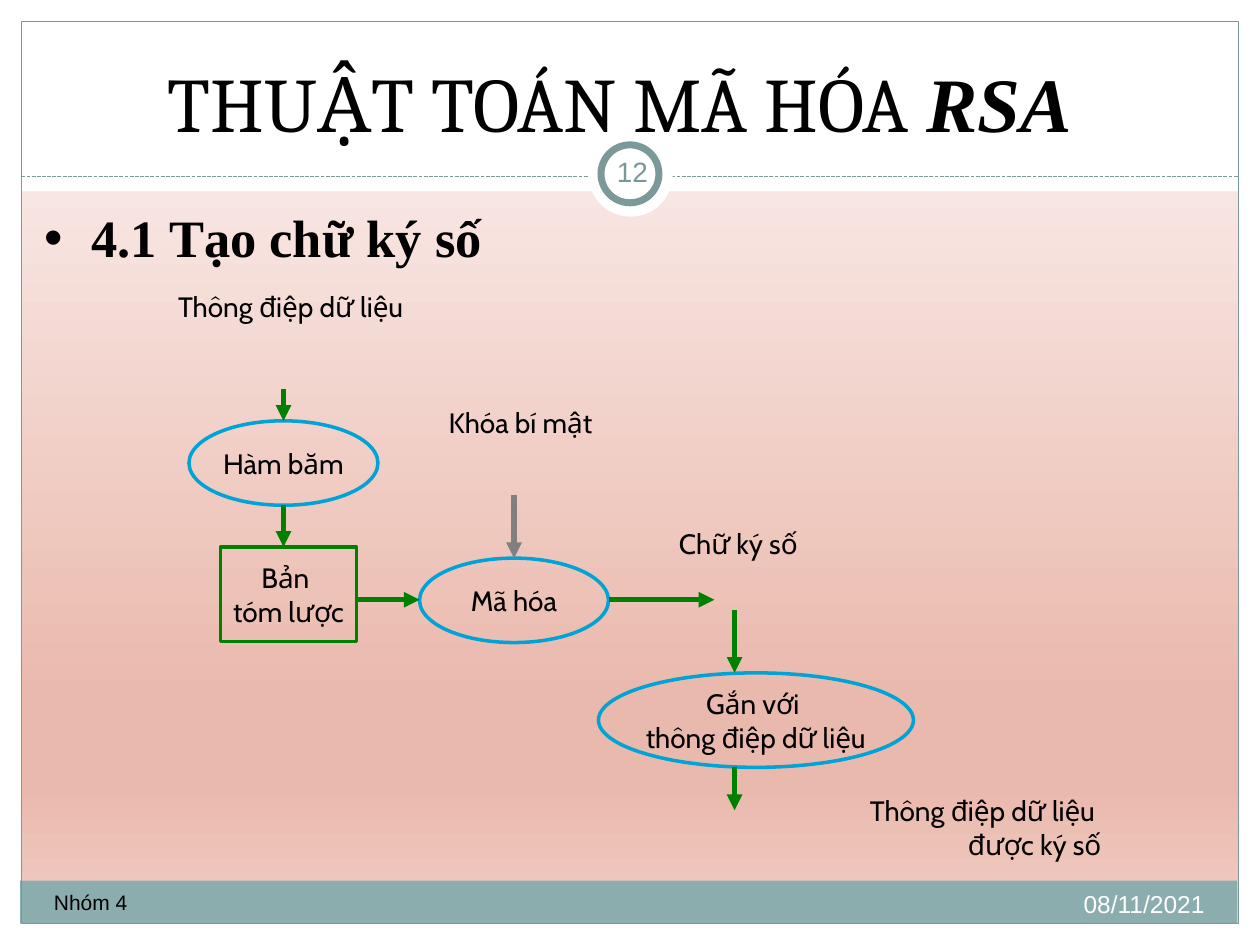
from dataclasses import dataclass

from lxml.etree import SubElement
from pptx import Presentation
from pptx.dml.color import RGBColor
from pptx.enum.dml import MSO_LINE
from pptx.enum.shapes import MSO_CONNECTOR, MSO_SHAPE
from pptx.enum.text import MSO_ANCHOR, MSO_AUTO_SIZE, PP_ALIGN
from pptx.oxml.ns import qn
from pptx.util import Inches, Pt


@dataclass(frozen=True)
class Theme:
    """Colours, fonts and type sizes of the slide."""

    white: str = "FFFFFF"
    black: str = "000000"
    band: str = "8CADAE"
    frame: str = "7C999A"
    number: str = "7B9899"
    green: str = "008000"
    blue: str = "00A3D6"
    gray: str = "808080"
    backdrop: tuple = ((0, "FDF7F6"), (74, "EAB9AD"), (83, "EAB9AD"), (100, "F1D0C8"))
    diagram_font: str = "Cabin"
    footer_font: str = "Arial"
    title_font: str = "Cambria"
    heading_font: str = "Times New Roman"
    title_size: int = 44
    heading_size: int = 30
    diagram_size: int = 16
    number_size: int = 16
    date_size: int = 14
    footer_size: int = 12


class SlideBuilder:
    """Draws styled elements on the current slide."""

    def __init__(self, slide, theme):
        self.slide = slide
        self.theme = theme

    def background(self):
        """Fill the background with a vertical gradient."""
        fill = self.slide.background.fill
        fill.gradient()
        fill.gradient_angle = 270
        stops = self.slide.element.find(".//" + qn("a:gsLst"))
        for stop in list(stops):
            stops.remove(stop)
        for position, color in self.theme.backdrop:
            stop = SubElement(stops, qn("a:gs"), pos=str(position * 1000))
            SubElement(stop, qn("a:srgbClr"), val=color)

    def place(self, shape, bounds):
        """Move a placeholder to its bounds, in front of everything so far."""
        shape.left, shape.top, shape.width, shape.height = map(Inches, bounds)
        shape.element.getparent().append(shape.element)

    def set_lines(self, frame, lines, font, size, color, align):
        """Set one paragraph per line in a single style."""
        frame.text = "\n".join(lines)
        for para in frame.paragraphs:
            para.alignment = align
            para.font.name = font
            para.font.size = Pt(size)
            para.font.color.rgb = RGBColor.from_string(color)

    def shape(self, kind, bounds, fill=None, line=None, width=0.75):
        """Add a preset shape with an optional fill and outline."""
        shape = self.slide.shapes.add_shape(kind, *map(Inches, bounds))
        shape.shadow.inherit = False
        if fill:
            shape.fill.solid()
            shape.fill.fore_color.rgb = RGBColor.from_string(fill)
        else:
            shape.fill.background()
        if line:
            shape.line.color.rgb = RGBColor.from_string(line)
            shape.line.width = Pt(width)
        else:
            shape.line.fill.background()
        return shape

    def node(self, kind, bounds, color, *lines):
        """Add an outlined diagram node with centred text."""
        node = self.shape(kind, bounds, line=color, width=2)
        frame = node.text_frame
        frame.word_wrap = False
        frame.vertical_anchor = MSO_ANCHOR.MIDDLE
        self.set_lines(frame, lines, self.theme.diagram_font, self.theme.diagram_size,
                       self.theme.black, PP_ALIGN.CENTER)
        return node

    def text(self, bounds, lines, font, size, color, align, wrap=True):
        """Add a text box and return its frame."""
        box = self.slide.shapes.add_textbox(*map(Inches, bounds))
        frame = box.text_frame
        frame.word_wrap = wrap
        self.set_lines(frame, lines, font, size, color, align)
        return frame

    def label(self, bounds, *lines):
        """Add a right-aligned diagram label."""
        frame = self.text(bounds, lines, self.theme.diagram_font, self.theme.diagram_size,
                          self.theme.black, PP_ALIGN.RIGHT, wrap=False)
        frame.auto_size = MSO_AUTO_SIZE.SHAPE_TO_FIT_TEXT

    def line(self, start, end, color, width):
        """Add a straight line without shadow."""
        line = self.slide.shapes.add_connector(
            MSO_CONNECTOR.STRAIGHT, *map(Inches, start + end))
        line.line.color.rgb = RGBColor.from_string(color)
        line.line.width = Pt(width)
        SubElement(line.element.spPr, qn("a:effectLst"))
        return line

    def arrow(self, start, end, color, target=None):
        """Add an arrow, joined to the top of its target if there is one."""
        arrow = self.line(start, end, color, 3)
        SubElement(arrow.element.spPr.find(qn("a:ln")), qn("a:tailEnd"), type="triangle")
        if target:
            arrow.end_connect(target, 0)

    def title(self, bounds, plain, emphasis):
        """Fill the title, its last word in bold italics."""
        title = self.slide.shapes.title
        self.place(title, bounds)
        frame = title.text_frame
        frame.vertical_anchor = MSO_ANCHOR.MIDDLE
        frame.auto_size = MSO_AUTO_SIZE.NONE
        self.set_lines(frame, [plain], self.theme.title_font, self.theme.title_size,
                       self.theme.black, PP_ALIGN.CENTER)
        span = frame.paragraphs[0].add_run()
        span.text = emphasis
        span.font.name = self.theme.heading_font
        span.font.bold = span.font.italic = True

    def heading(self, bounds, text):
        """Fill the body placeholder with an unbulleted heading."""
        body = self.slide.placeholders[1]
        self.place(body, bounds)
        frame = body.text_frame
        frame.auto_size = MSO_AUTO_SIZE.NONE
        para = frame.paragraphs[0]
        properties = para._p.get_or_add_pPr()
        properties.set("marL", "0")
        properties.set("indent", "0")
        SubElement(properties, qn("a:buNone"))
        self.set_lines(frame, [text], self.theme.heading_font, self.theme.heading_size,
                       self.theme.black, PP_ALIGN.LEFT)
        para = frame.paragraphs[0]
        para.font.bold = True
        para.space_before = Pt(0)


def main():
    """Build the digital signature slide."""
    deck = Presentation()
    deck.slide_width, deck.slide_height = Inches(10), Inches(7.5)
    theme = Theme()
    page = SlideBuilder(deck.slides.add_slide(deck.slide_layouts[1]), theme)
    rectangle, ellipse = MSO_SHAPE.RECTANGLE, MSO_SHAPE.OVAL

    page.background()
    for margin in ((0, 7.33, 10, 0.17), (0, 0, 10, 1.52),
                   (0, 0, 0.17, 7.5), (9.83, 0, 0.17, 7.5)):
        page.shape(rectangle, margin, fill=theme.white)
    page.shape(rectangle, (0.16, 6.99, 9.66, 0.34), fill=theme.band)
    page.shape(rectangle, (0.17, 0.17, 9.66, 7.16), line=theme.frame)
    divider = page.line((0.17, 1.4), (9.83, 1.4), theme.frame, 0.75)
    divider.line.dash_style = MSO_LINE.SQUARE_DOT
    page.shape(ellipse, (4.67, 1.05, 0.67, 0.67), fill=theme.white)
    page.shape(ellipse, (4.77, 1.15, 0.46, 0.46), theme.white, theme.frame, 4)

    page.text((6.33, 7.01, 3.33, 0.4), ["08/11/2021"], theme.footer_font,
              theme.date_size, theme.white, PP_ALIGN.RIGHT)
    page.text((0.33, 7.01, 3.92, 0.4), ["Nhóm 4"], theme.footer_font,
              theme.footer_size, theme.black, PP_ALIGN.LEFT)
    number = page.text((4.77, 1.12, 0.5, 0.48), ["12"], theme.footer_font,
                       theme.number_size, theme.number, PP_ALIGN.CENTER)
    number.vertical_anchor = MSO_ANCHOR.MIDDLE
    number.margin_left = number.margin_right = Inches(0.05)
    number.margin_top = number.margin_bottom = Inches(0.05)

    page.node(rectangle, (1.75, 4.34, 1.08, 0.75), theme.green, "Bản ", "tóm lược")
    hashing = page.node(ellipse, (1.5, 3.34, 1.5, 0.67), theme.blue, "Hàm băm")
    page.node(ellipse, (4.75, 5.34, 2.5, 0.75), theme.blue, "Gắn với ", "thông điệp dữ liệu")
    encryption = page.node(ellipse, (3.33, 4.43, 1.5, 0.67), theme.blue, "Mã hóa")

    page.label((1.25, 2.25, 2.05, 0.37), "Thông điệp dữ liệu")
    page.label((3.42, 3.17, 1.38, 0.37), "Khóa bí mật")
    page.label((5.25, 4.13, 1.18, 0.37), "Chữ ký số")
    page.label((6.72, 6.25, 2.12, 0.64), "Thông điệp dữ liệu ", "được ký số")

    page.arrow((2.25, 3.09), (2.25, 3.34), theme.green, hashing)
    page.arrow((4.08, 3.93), (4.08, 4.43), theme.gray, encryption)
    for start, end in (((2.25, 4.01), (2.25, 4.34)), ((2.83, 4.76), (3.33, 4.76)),
                       ((4.83, 4.76), (5.67, 4.76)), ((5.83, 4.84), (5.83, 5.34)),
                       ((5.83, 6.09), (5.83, 6.43))):
        page.arrow(start, end, theme.green)

    page.title((0.67, 0, 8.5, 1.61), "THUẬT TOÁN MÃ HÓA ", "RSA")
    page.heading((0.25, 1.58, 9.08, 0.61), "4.1 Tạo chữ ký số")
    deck.save("out.pptx")


if __name__ == "__main__":
    main()
